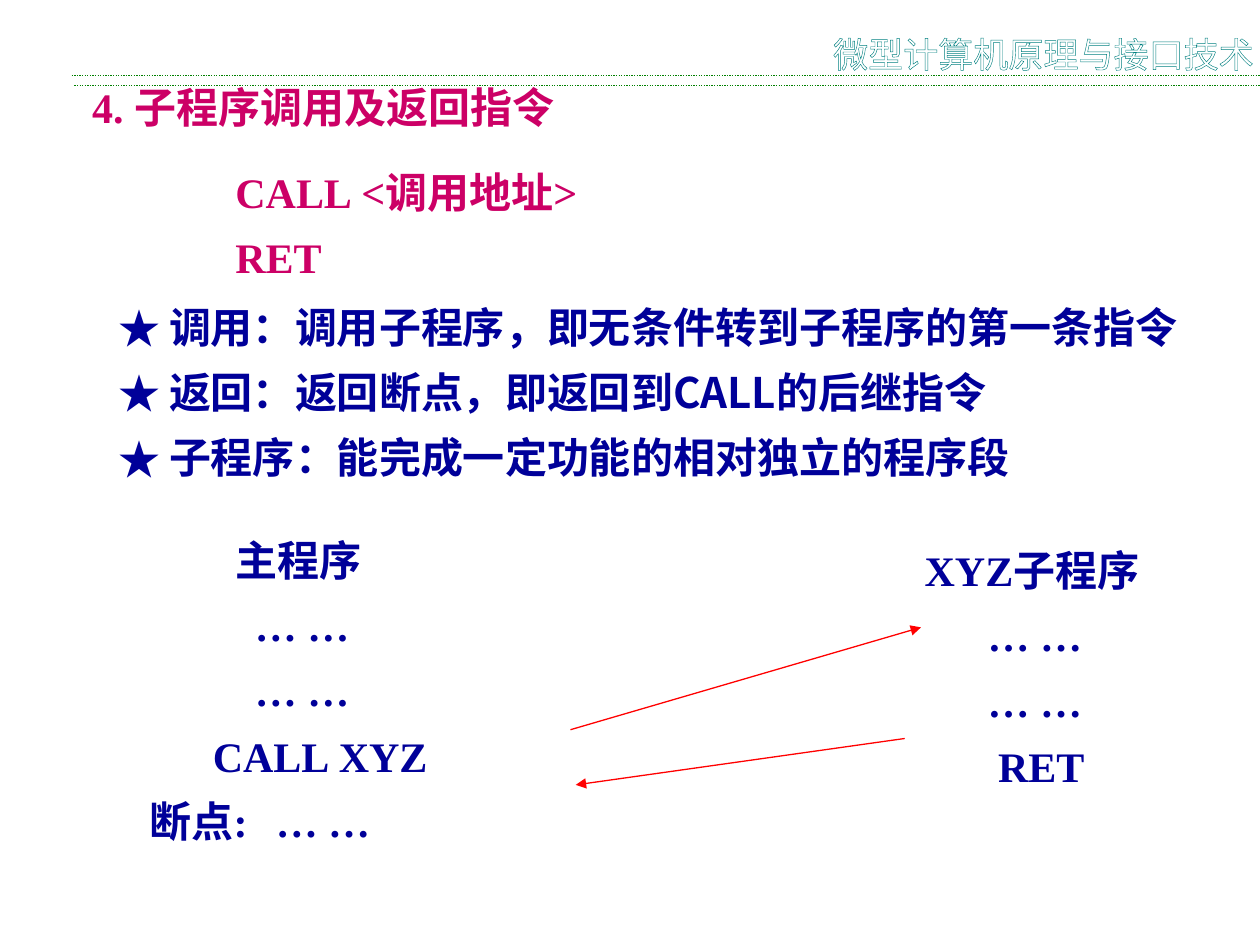
from lxml import etree
from pptx import Presentation
from pptx.dml.color import RGBColor
from pptx.enum.dml import MSO_LINE
from pptx.enum.shapes import MSO_CONNECTOR
from pptx.enum.text import MSO_ANCHOR, MSO_AUTO_SIZE, PP_ALIGN
from pptx.oxml.ns import qn
from pptx.util import Pt

STRAIGHT = MSO_CONNECTOR.STRAIGHT
DOTS = MSO_LINE.ROUND_DOT
TOP = MSO_ANCHOR.TOP
NO_FIT = MSO_AUTO_SIZE.NONE
LEFT = PP_ALIGN.LEFT

COLORS = {
    "head": "FFFFFF", "edge": "008080", "rule": "008000",
    "pink": "CC0066", "navy": "000099", "arrow": "FF0000",
}
SERIF = "Times New Roman"
SANS = "Noto Sans CJK SC"


def color(name):
    return RGBColor.from_string(COLORS[name])


def add_sub(parent, tag, **attrs):
    return etree.SubElement(parent, qn(tag), attrs)


def put(shape, left, top, width, height):
    shape.left, shape.top = Pt(left), Pt(top)
    shape.width, shape.height = Pt(width), Pt(height)


def set_up(frame, inset=3.6):
    frame.word_wrap = True
    frame.auto_size = NO_FIT
    frame.vertical_anchor = TOP
    frame.margin_left = frame.margin_right = Pt(7.2)
    frame.margin_top = frame.margin_bottom = Pt(inset)


def fill(frame, rows, tone, face=SERIF, size=24, space=1.3, star=False):
    """Write rows of (text, indent, tab stops) as paragraphs."""
    for i, (text, indent, stops) in enumerate(rows):
        para = frame.paragraphs[0] if i == 0 else frame.add_paragraph()
        para.text = text
        para.alignment = LEFT
        para.line_spacing = space
        para.space_before = Pt(0)
        props = para._p.get_or_add_pPr()
        props.set("marL", str(Pt(indent)))
        props.set("indent", str(Pt(-29 if star else 0)))
        if star:
            add_sub(props, "a:buFont", typeface=SANS)
            add_sub(props, "a:buChar", char="★")
        if stops:
            tabs = add_sub(props, "a:tabLst")
            for stop in stops:
                add_sub(tabs, "a:tab", pos=str(Pt(stop)), algn="l")
        font = para.font
        font.name, font.size, font.bold = face, Pt(size), tone != "head"
        font.color.rgb = color(tone)


def add_text(slide, spot, rows, tone):
    box = slide.shapes.add_textbox(0, 0, 0, 0)
    put(box, *spot)
    set_up(box.text_frame)
    fill(box.text_frame, rows, tone)


def add_line(slide, start, end, tone, arrow=False):
    line = slide.shapes.add_connector(STRAIGHT, *map(Pt, start + end))
    line.line.color.rgb = color(tone)
    line.line.width = Pt(0.75)
    if arrow:
        add_sub(line.line._get_or_add_ln(), "a:tailEnd", type="triangle")
    else:
        line.line.dash_style = DOTS
    add_sub(line._element.spPr, "a:effectLst")


def add_head(slide):
    """Course name in outlined letters over two rules."""
    add_line(slide, (42.5, 49), (720, 49), "rule")
    add_line(slide, (41, 43.2), (720, 43.2), "rule")
    box = slide.shapes.add_textbox(0, 0, 0, 0)
    put(box, 469, 15.1, 251, 30)
    frame = box.text_frame
    set_up(frame)
    frame.margin_right = 0
    fill(frame, [("微型计算机原理与接口技术", 0, ())], "head", SANS, 20, 1.0)
    edge = etree.Element(qn("a:ln"), w=str(Pt(0.75)))
    paint = add_sub(edge, "a:solidFill")
    add_sub(paint, "a:srgbClr", val=COLORS["edge"])
    frame.paragraphs[0].runs[0]._r.get_or_add_rPr().insert(0, edge)


def add_title(slide):
    title = slide.shapes.title
    put(title, 45.4, 46.8, 333, 57.6)
    set_up(title.text_frame, 0)
    fill(title.text_frame, [("4. 子程序调用及返回指令", 0, ())], "pink", space=1.0)


def add_list(slide):
    body = slide.placeholders[1]
    put(body, 55.4, 159.8, 645, 120)
    set_up(body.text_frame)
    lines = (
        "调用：调用子程序，即无条件转到子程序的第一条指令",
        "返回：返回断点，即返回到CALL的后继指令",
        "子程序：能完成一定功能的相对独立的程序段",
    )
    fill(body.text_frame, [(line, 34, ()) for line in lines], "navy", SANS, star=True)


def main():
    deck = Presentation()
    deck.slide_width, deck.slide_height = Pt(720), Pt(540)
    slide = deck.slides.add_slide(deck.slide_layouts[1])
    add_head(slide)
    add_title(slide)
    add_text(slide, (127.4, 82.8, 228, 74),
             [("CALL\t<调用地址>", 0, (77.5,)), ("RET", 0, ())], "pink")
    add_list(slide)

    dots = "… …"
    add_text(slide, (78.5, 293, 220, 195), [
        ("主程序", 49, ()),
        (dots, 60, ()),
        (dots, 60, ()),
        ("\tCALL\tXYZ", 0, (60, 149)),
        ("断点:\t" + dots, 0, (75,)),
    ], "navy")
    add_text(slide, (521.3, 298.8, 150, 157), [
        ("XYZ子程序", 0, ()),
        (dots, 36, ()),
        (dots, 36, ()),
        ("RET", 42, ()),
    ], "navy")
    add_line(slide, (326, 417), (526.3, 358.5), "arrow", True)
    add_line(slide, (517, 422), (329, 448.5), "arrow", True)
    deck.save("out.pptx")


if __name__ == "__main__":
    main()
